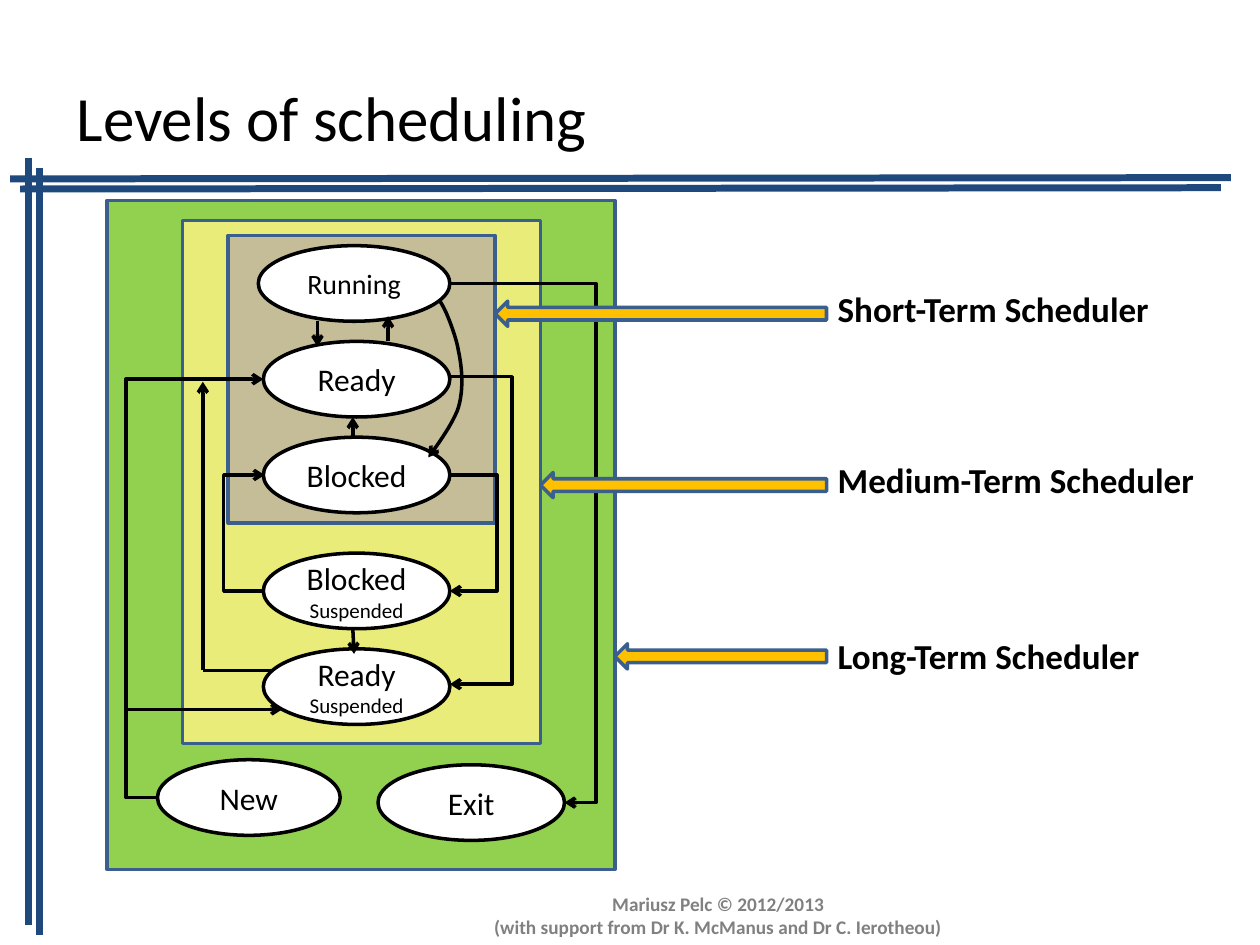
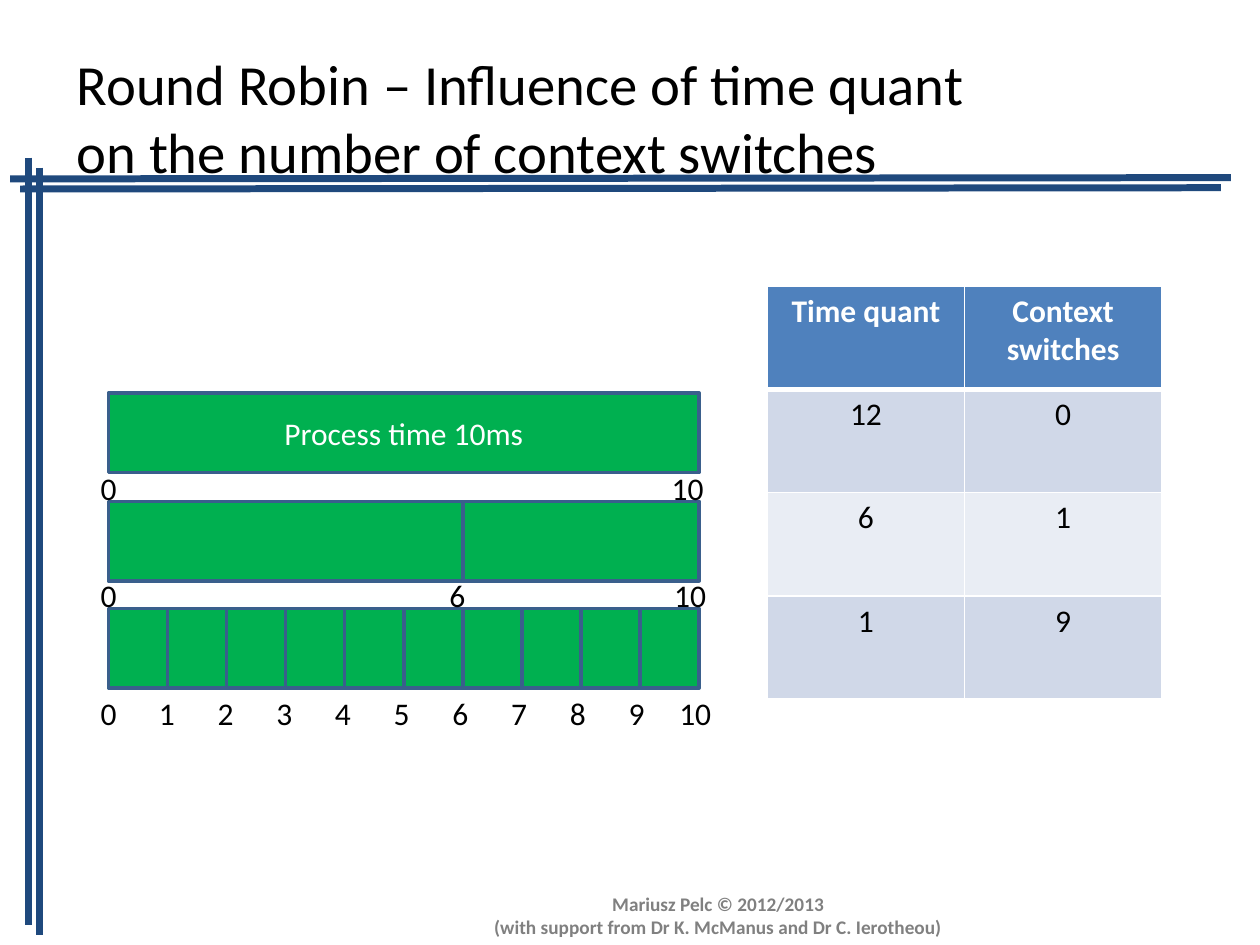
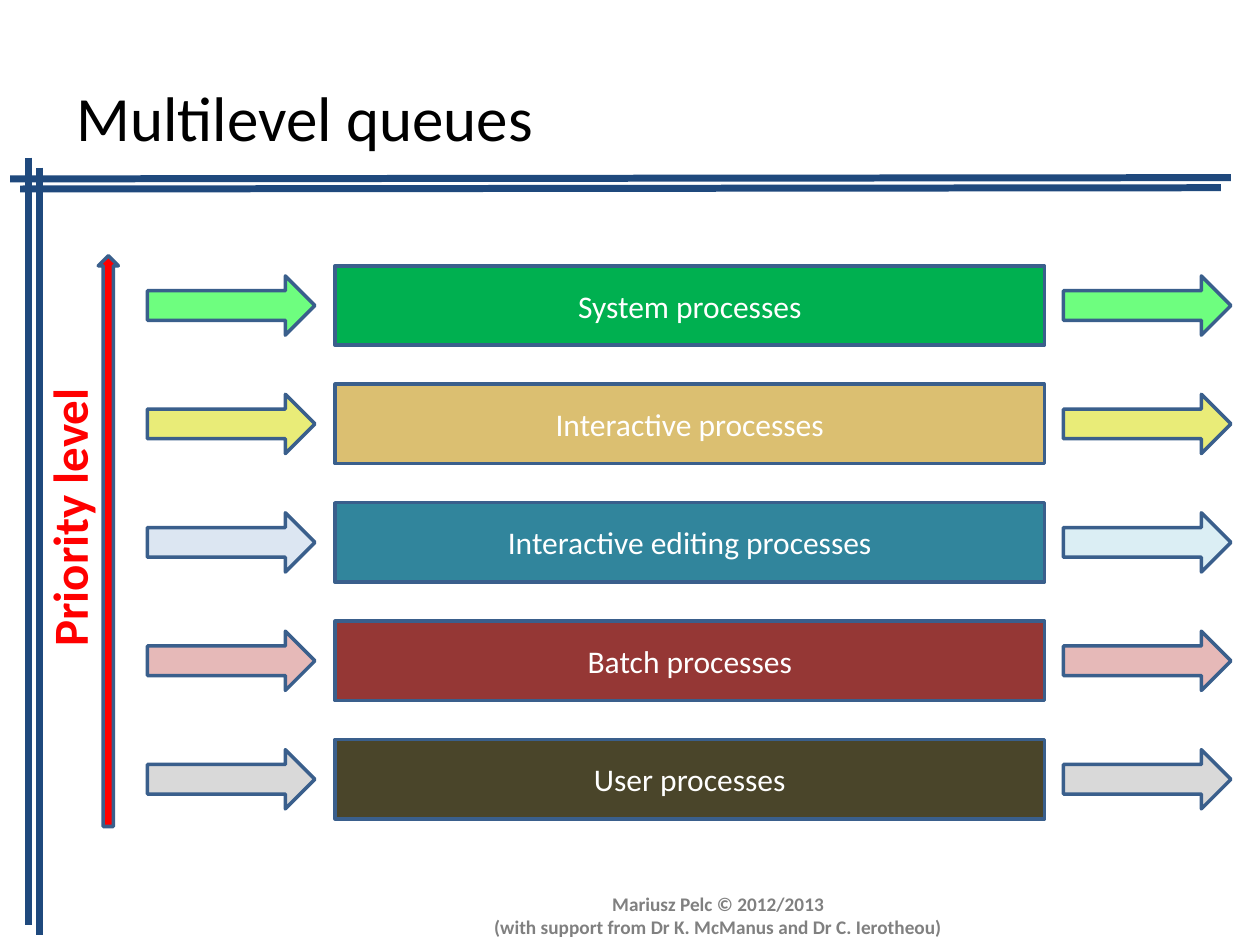
from dataclasses import dataclass
from typing import NamedTuple

from lxml import etree
from pptx import Presentation
from pptx import util as u
from pptx.dml.color import RGBColor
from pptx.enum import shapes, text
from pptx.oxml.ns import qn

SHAPE = shapes.MSO_SHAPE
CONNECTOR = shapes.MSO_CONNECTOR
ALIGN = text.PP_ALIGN
ANCHOR = text.MSO_ANCHOR


@dataclass(frozen=True)
class Theme:
    font: str = "Calibri"
    black: str = "000000"
    white: str = "FFFFFF"
    rule: str = "1F497D"
    outline: str = "3A5F8C"
    footer: str = "808080"
    green: str = "00B050"
    lime: str = "92D050"
    yellow: str = "E9EC78"
    tan: str = "C4BD97"
    amber: str = "FFC000"
    red: str = "FF0000"
    header: str = "4F81BD"
    bands: tuple[str, str] = ("D0D8E8", "E9EDF4")
    title_size: float = 36
    long_title_size: float = 32.4
    priority_size: float = 28
    scheduler_size: float = 20
    body_size: float = 18
    running_size: float = 16
    note_size: float = 12
    footer_size: float = 11
    stroke: float = 2
    rule_stroke: float = 4


THEME = Theme()


class Box(NamedTuple):
    left: float
    top: float
    width: float
    height: float


class Point(NamedTuple):
    x: float
    y: float


class State(NamedTuple):
    label: str
    box: Box
    size: float = THEME.body_size


class Region(NamedTuple):
    box: Box
    fill: str
    scheduler: str
    arrow_top: float
    label_top: float


class Elbow(NamedTuple):
    start: Point
    turn_x: float
    end: Point


class Queue(NamedTuple):
    label: str
    fill: str
    arrow_in: str
    arrow_out: str


class Timeline(NamedTuple):
    top: float
    slices: tuple[int, ...]
    label: str
    ticks_top: float
    ticks_length: float


def inches(values) -> list:
    return [u.Inches(value) for value in values]


def write(frame, content: str, *, size: float = THEME.body_size,
          note_size: float | None = None, color: str = THEME.black,
          bold: bool = False, align=ALIGN.LEFT, anchor=ANCHOR.TOP,
          wrap: bool = True) -> None:
    frame.word_wrap = wrap
    frame.vertical_anchor = anchor
    for index, line in enumerate(content.split("\n")):
        paragraph = frame.add_paragraph() if index else frame.paragraphs[0]
        paragraph.alignment = align
        run = paragraph.add_run()
        run.text = line
        run.font.name = THEME.font
        run.font.size = u.Pt(note_size if index and note_size else size)
        run.font.bold = bold
        run.font.color.rgb = RGBColor.from_string(color)


def add_label(slide, box: Box, content: str, **style):
    label = slide.shapes.add_textbox(*inches(box))
    write(label.text_frame, content, **style)
    return label


def stroke(line, color: str, width: float, arrow: bool = False) -> None:
    line.color.rgb = RGBColor.from_string(color)
    line.width = u.Pt(width)
    if arrow:
        etree.SubElement(line._get_or_add_ln(), qn("a:tailEnd"), type="arrow")


def add_block(slide, kind, box: Box, fill: str, label: str = "",
              outline: str = THEME.outline, **style):
    block = slide.shapes.add_shape(kind, *inches(box))
    block.shadow.inherit = False
    block.fill.solid()
    block.fill.fore_color.rgb = RGBColor.from_string(fill)
    stroke(block.line, outline, THEME.stroke)
    if label:
        frame = block.text_frame
        frame.margin_top = frame.margin_bottom = 0
        write(frame, label, align=ALIGN.CENTER, anchor=ANCHOR.MIDDLE, **style)
    return block


def add_line(slide, start: Point, end: Point, color: str = THEME.black,
             width: float = THEME.stroke, arrow: bool = False,
             kind=CONNECTOR.STRAIGHT):
    line = slide.shapes.add_connector(kind, *inches((*start, *end)))
    stroke(line.line, color, width, arrow)
    etree.SubElement(line._element.spPr, qn("a:effectLst"))
    return line


def add_elbow(slide, elbow: Elbow) -> None:
    line = add_line(slide, elbow.start, elbow.end, arrow=True, kind=CONNECTOR.ELBOW)
    ratio = (elbow.turn_x - elbow.start.x) / (elbow.end.x - elbow.start.x)
    guides = line._element.spPr.find(qn("a:prstGeom")).get_or_add_avLst()
    etree.SubElement(guides, qn("a:gd"), name="adj1", fmla=f"val {round(ratio * 100000)}")


def bezier(points: list[Point], steps: int = 12) -> list[Point]:
    def at(t: float) -> Point:
        weights = ((1 - t) ** 3, 3 * t * (1 - t) ** 2, 3 * t * t * (1 - t), t ** 3)
        return Point(sum(w * p.x for w, p in zip(weights, points)),
                     sum(w * p.y for w, p in zip(weights, points)))
    return [at(step / steps) for step in range(1, steps + 1)]


def add_curve(slide, knots: list[Point]) -> None:
    curve_points = [point for first in range(0, len(knots) - 1, 3)
                    for point in bezier(knots[first:first + 4])]
    builder = slide.shapes.build_freeform(*inches(knots[0]))
    builder.add_line_segments([inches(point) for point in curve_points], close=False)
    curve = builder.convert_to_shape()
    curve.shadow.inherit = False
    curve.fill.background()
    stroke(curve.line, THEME.black, THEME.stroke, arrow=True)


def add_page(deck, title: str, size: float = THEME.title_size):
    slide = deck.slides.add_slide(deck.slide_layouts[6])
    for offset in (0, 0.08):
        add_line(slide, Point(0.23 + offset, 1.25 + offset),
                 Point(0.23 + offset, 7.34 + offset), THEME.rule, THEME.rule_stroke)
        add_line(slide, Point(0.08 + offset, 1.42 + offset),
                 Point(9.77 - offset, 1.41 + offset), THEME.rule, THEME.rule_stroke)
    add_label(slide, Box(0.51, 0.3, 7.66, 1.25), title, size=size, anchor=ANCHOR.MIDDLE)
    add_label(slide, Box(3.81, 7.03, 3.78, 0.47),
              "Mariusz Pelc © 2012/2013\n(with support from Dr K. McManus and Dr C. Ierotheou)",
              size=THEME.footer_size, color=THEME.footer, bold=True,
              align=ALIGN.CENTER, wrap=False)
    return slide


def build_levels(deck) -> None:
    slide = add_page(deck, "Levels of scheduling")
    regions = [
        Region(Box(0.85, 1.59, 4.03, 5.31), THEME.lime, "Long-Term Scheduler", 5.11, 4.99),
        Region(Box(1.45, 1.75, 2.84, 4.15), THEME.yellow, "Medium-Term Scheduler", 3.75, 3.59),
        Region(Box(1.81, 1.87, 2.12, 2.28), THEME.tan, "Short-Term Scheduler", 2.39, 2.23),
    ]
    states = [
        State("Running", Box(2.05, 1.95, 1.52, 0.6), THEME.running_size),
        State("Ready", Box(2.09, 2.71, 1.48, 0.6)),
        State("Blocked", Box(2.09, 3.47, 1.48, 0.6)),
        State("Blocked\nSuspended", Box(2.09, 4.39, 1.48, 0.6)),
        State("Ready\nSuspended", Box(2.09, 5.15, 1.48, 0.6)),
        State("New", Box(1.25, 6.03, 1.45, 0.6)),
        State("Exit", Box(3, 6.07, 1.48, 0.6)),
    ]
    elbows = [
        Elbow(Point(1.25, 6.33), 1, Point(2.09, 3.01)),
        Elbow(Point(2.09, 4.69), 1.77, Point(2.1, 3.77)),
        Elbow(Point(3.56, 3.77), 3.95, Point(3.57, 4.69)),
        Elbow(Point(3.56, 2.99), 4.07, Point(3.57, 5.43)),
        Elbow(Point(3.56, 2.25), 4.73, Point(4.48, 6.37)),
    ]
    transitions = [
        (Point(1.01, 5.63), Point(2.24, 5.63)),
        (Point(3.08, 2.71), Point(3.08, 2.51)),
        (Point(2.52, 2.55), Point(2.52, 2.75)),
        (Point(2.8, 3.47), Point(2.8, 3.31)),
        (Point(2.8, 4.99), Point(2.81, 5.19)),
        (Point(1.61, 5.32), Point(1.61, 3.03)),
    ]
    for region in regions:
        add_block(slide, SHAPE.RECTANGLE, region.box, region.fill)
    for state in states:
        add_block(slide, SHAPE.OVAL, state.box, THEME.white, state.label,
                  outline=THEME.black, size=state.size, note_size=THEME.note_size)
    for elbow in elbows:
        add_elbow(slide, elbow)
    add_line(slide, Point(2.16, 5.32), Point(1.61, 5.32))
    for start, end in transitions:
        add_line(slide, start, end, arrow=True)
    add_curve(slide, [Point(3.48, 2.39), Point(3.5, 2.36), Point(3.62, 2.65),
                      Point(3.64, 2.79), Point(3.67, 2.93), Point(3.68, 3.09),
                      Point(3.64, 3.23), Point(3.6, 3.37), Point(3.4, 3.63),
                      Point(3.4, 3.63)])
    for region in regions:
        edge = region.box.left + region.box.width
        add_block(slide, SHAPE.LEFT_ARROW, Box(edge, region.arrow_top, 6.56 - edge, 0.2),
                  THEME.amber)
        add_label(slide, Box(6.55, region.label_top, 3.08, 0.44), region.scheduler,
                  size=THEME.scheduler_size, bold=True, wrap=False)


def add_ticks(slide, timeline: Timeline) -> None:
    ticks = [sum(timeline.slices[:count]) for count in range(len(timeline.slices) + 1)]
    label = add_label(slide, Box(0.7, timeline.ticks_top, 5.17, 0.4),
                      "\t".join(str(tick) for tick in ticks))
    properties = label.text_frame.paragraphs[0]._p.get_or_add_pPr()
    stops = etree.SubElement(properties, qn("a:tabLst"))
    for tick in ticks[1:]:
        position = u.Inches(0.06 + timeline.ticks_length * tick / ticks[-1])
        etree.SubElement(stops, qn("a:tab"), pos=str(int(position)), algn="ctr")


def add_borders(cell, bottom: float) -> None:
    properties = cell._tc.get_or_add_tcPr()
    for side, width in (("L", 1), ("R", 1), ("T", 1), ("B", bottom)):
        border = etree.SubElement(properties, qn(f"a:ln{side}"), w=str(int(u.Pt(width))))
        fill = etree.SubElement(border, qn("a:solidFill"))
        etree.SubElement(fill, qn("a:srgbClr"), val=THEME.white)


def add_switch_table(slide, rows: list[tuple[str, str]]) -> None:
    box = Box(6.09, 2.27, 3.13, 3.28)
    table = slide.shapes.add_table(len(rows), len(rows[0]), *inches(box)).table
    table.horz_banding = False
    for row_index, row in enumerate(rows):
        is_header = row_index == 0
        for column, value in enumerate(row):
            cell = table.cell(row_index, column)
            add_borders(cell, 3 if is_header else 1)
            cell.fill.solid()
            cell.fill.fore_color.rgb = RGBColor.from_string(
                THEME.header if is_header else THEME.bands[(row_index - 1) % 2])
            write(cell.text_frame, value, bold=is_header, align=ALIGN.CENTER,
                  color=THEME.white if is_header else THEME.black)


def build_round_robin(deck) -> None:
    slide = add_page(deck, "Round Robin – Influence of time quant on the number of context switches",
                     THEME.long_title_size)
    timelines = [
        Timeline(3.12, (10,), "Process time 10ms", 3.67, 4.6),
        Timeline(3.98, (6, 4), "", 4.52, 4.62),
        Timeline(4.83, (1,) * 10, "", 5.46, 4.66),
    ]
    bar_left, bar_width = 0.86, 4.69
    for timeline in timelines:
        unit = bar_width / sum(timeline.slices)
        left = bar_left
        for duration in timeline.slices:
            add_block(slide, SHAPE.RECTANGLE, Box(left, timeline.top, duration * unit, 0.63),
                      THEME.green, timeline.label, color=THEME.white)
            left += duration * unit
    for timeline in timelines:
        add_ticks(slide, timeline)
    add_switch_table(slide, [("Time quant", "Context switches"),
                             ("12", "0"), ("6", "1"), ("1", "9")])


def build_queues(deck) -> None:
    slide = add_page(deck, "Multilevel queues")
    queues = [
        Queue("System processes", THEME.green, "6EFE7F", "6EFE7F"),
        Queue("Interactive processes", "DBBF71", THEME.yellow, THEME.yellow),
        Queue("Interactive editing processes", "31859C", "DCE6F2", "DBEEF4"),
        Queue("Batch processes", "953735", "E6B9B8", "E6B9B8"),
        Queue("User processes", "4A452A", "D9D9D9", "D9D9D9"),
    ]
    for level, queue in enumerate(queues):
        top = 2.11 + level * 0.94
        add_block(slide, SHAPE.RECTANGLE, Box(2.66, top, 5.63, 0.63), queue.fill,
                  queue.label, color=THEME.white)
        for left, fill in ((1.17, queue.arrow_in), (8.44, queue.arrow_out)):
            add_block(slide, SHAPE.RIGHT_ARROW, Box(left, top + 0.08, 1.33, 0.47), fill)
    add_block(slide, SHAPE.UP_ARROW, Box(0.78, 2.03, 0.16, 4.53), THEME.red)
    priority = add_label(slide, Box(0.26, 3.06, 0.67, 2.17), "Priority level",
                         size=THEME.priority_size, color=THEME.red, bold=True, wrap=False)
    priority.text_frame._txBody.bodyPr.set("vert", "vert270")


def main() -> None:
    deck = Presentation()
    deck.slide_width, deck.slide_height = u.Inches(10), u.Inches(7.5)
    build_levels(deck)
    build_round_robin(deck)
    build_queues(deck)
    deck.save("out.pptx")


if __name__ == "__main__":
    main()
